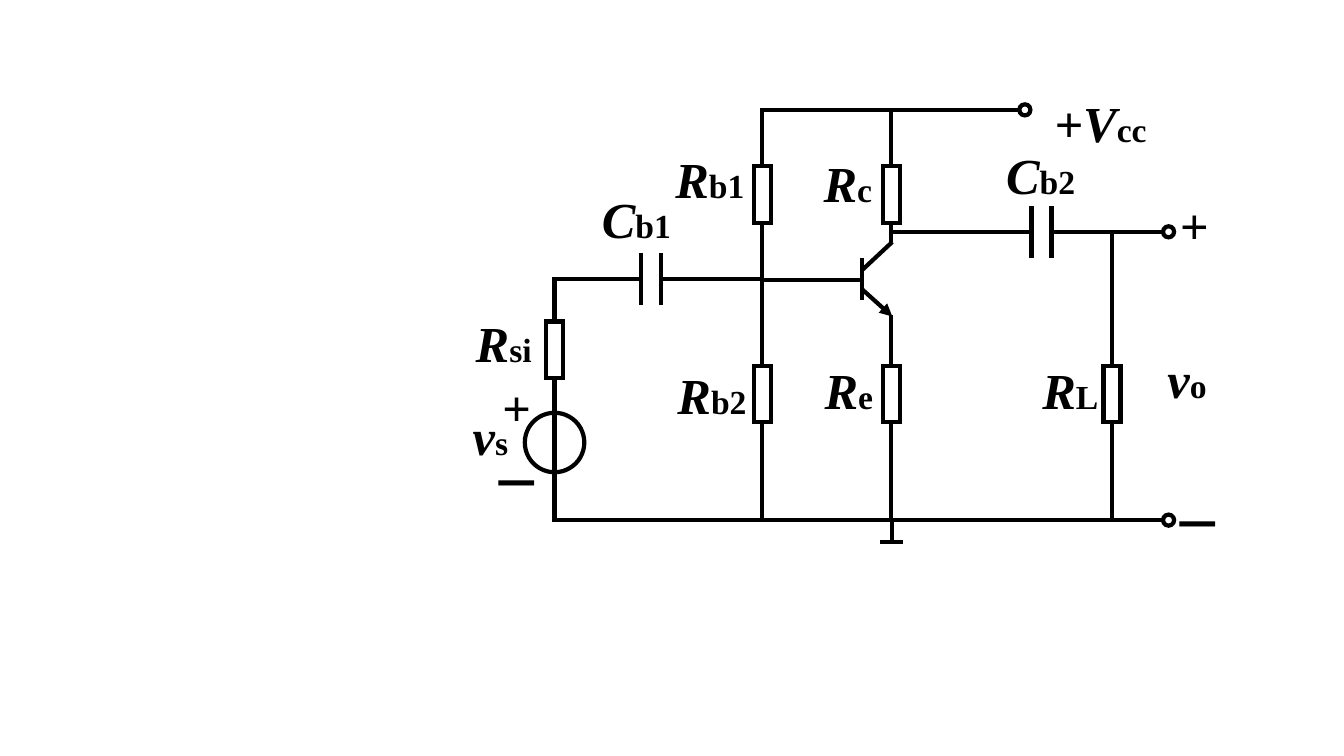
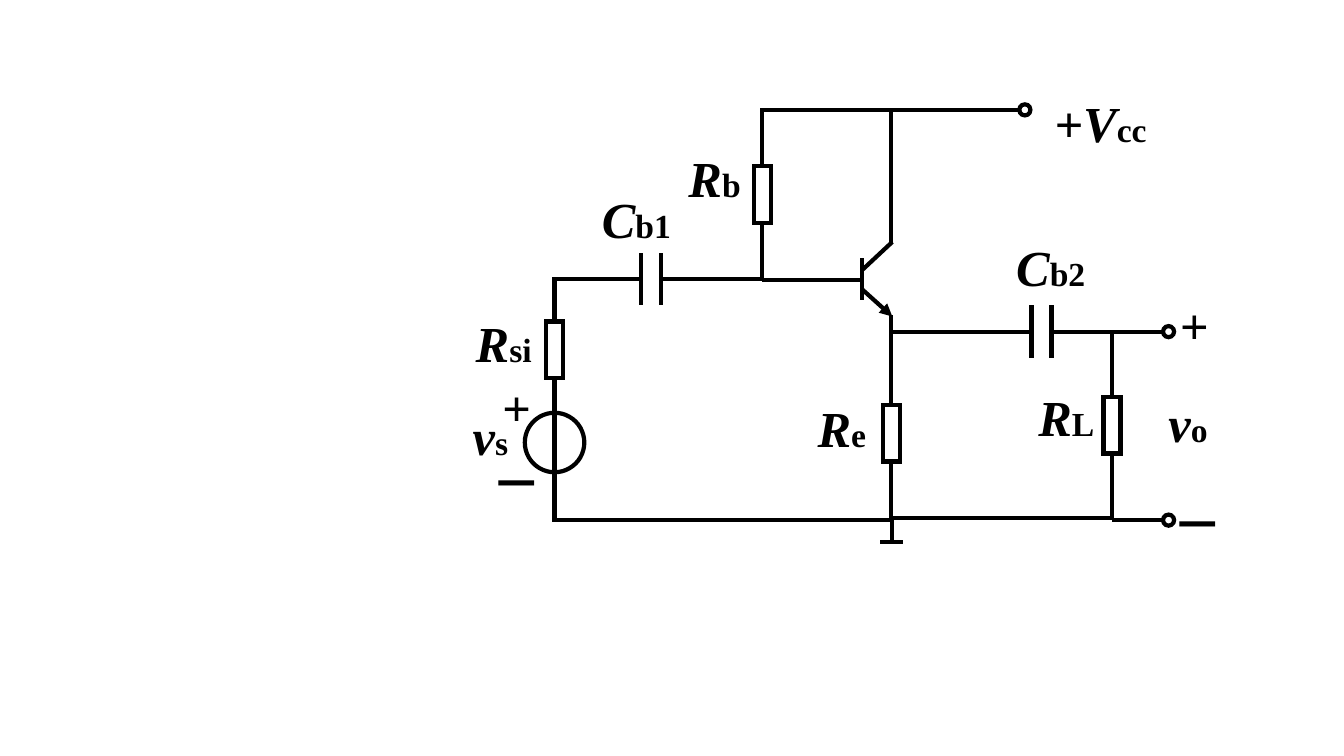
from lxml.etree import SubElement
from pptx import Presentation
from pptx.dml.color import RGBColor
from pptx.enum.shapes import MSO_CONNECTOR, MSO_SHAPE
from pptx.enum.text import MSO_AUTO_SIZE
from pptx.oxml.ns import qn
from pptx.util import Inches, Pt

COLORS = {"ink": "000000", "paper": "FFFFFF"}
FONT = "Times New Roman"
SOURCE_X, BASE_X, GATE_X, EMITTER_X, LOAD_X, TERMINAL_X = 5.5, 7.56, 8.55, 8.84, 11.03, 11.59
SUPPLY_Y, INPUT_Y, GROUND_Y = 1.09, 2.77, 5.16
RESISTOR_HEIGHT = 0.56


def add_span(para, text, size=36, italic=True):
    """Add one bold run to a paragraph."""
    span = para.add_run()
    span.text = text
    font = span.font
    font.name, font.size, font.bold, font.italic = FONT, Pt(size), True, italic
    font.color.rgb = RGBColor.from_string(COLORS["ink"])


class Schematic:
    """Draw circuit symbols on the current slide in one style."""

    def __init__(self, deck):
        self.deck = deck
        self.page = None

    def new_page(self):
        self.page = self.deck.slides.add_slide(self.deck.slide_layouts[6])

    def pen(self, line, color="ink"):
        line.width = Pt(3)
        line.color.rgb = RGBColor.from_string(COLORS[color])
        SubElement(line._get_or_add_ln(), qn("a:miter"), lim="800000")

    def shape(self, kind, left, top, width, height, color="ink"):
        shape = self.page.shapes.add_shape(
            kind, Inches(left), Inches(top), Inches(width), Inches(height))
        shape.shadow.inherit = False
        shape.fill.solid()
        shape.fill.fore_color.rgb = RGBColor.from_string(COLORS["paper"])
        self.pen(shape.line, color)

    def resistor(self, x, top):
        self.shape(MSO_SHAPE.RECTANGLE, x - 0.085, top, 0.17, RESISTOR_HEIGHT)

    def capacitor(self, left, y):
        self.shape(MSO_SHAPE.RECTANGLE, left, y - 0.28, 0.2, 0.57)
        for top in (y - 0.37, y + 0.28):
            self.shape(MSO_SHAPE.RECTANGLE, left - 0.1, top, 0.4, 0.09, "paper")

    def circle(self, x, y, size):
        self.shape(MSO_SHAPE.OVAL, x - size / 2, y - size / 2, size, size)

    def terminal(self, x, y):
        self.circle(x, y, 0.11)

    def wire(self, start, end, elbow=False, arrow=False):
        """Join two points; an elbow runs across first, then up or down."""
        kind = MSO_CONNECTOR.ELBOW if elbow else MSO_CONNECTOR.STRAIGHT
        wire = self.page.shapes.add_connector(
            kind, *(Inches(value) for value in (*start, *end)))
        self.pen(wire.line)
        properties = wire._element.spPr
        if elbow:
            properties.find(qn("a:prstGeom")).set("prst", "bentConnector2")
        if arrow:
            SubElement(wire.line._get_or_add_ln(), qn("a:tailEnd"), type="triangle")
        SubElement(properties, qn("a:effectLst"))

    def label(self, symbol, subscript, left, top, width, italic=True):
        box = self.page.shapes.add_textbox(
            Inches(left), Inches(top), Inches(width), Inches(0.71))
        box.text_frame.word_wrap = False
        box.text_frame.auto_size = MSO_AUTO_SIZE.SHAPE_TO_FIT_TEXT
        para = box.text_frame.paragraphs[0]
        add_span(para, symbol, italic=italic)
        if subscript:
            add_span(para, subscript, size=24, italic=False)


def draw_input_stage(schematic):
    """Draw the source, base bias, transistor, supply and ground."""
    schematic.resistor(SOURCE_X, 3.19)
    schematic.circle(SOURCE_X, 4.39, 0.59)
    schematic.capacitor(6.36, INPUT_Y)
    schematic.resistor(BASE_X, 1.65)
    for start, end in (
        ((6.36, INPUT_Y), (SOURCE_X, 3.19)),
        ((6.55, INPUT_Y), (BASE_X, 2.21)),
        ((10.13, SUPPLY_Y), (BASE_X, 1.65)),
        ((EMITTER_X, GROUND_Y), (SOURCE_X, 3.75)),
    ):
        schematic.wire(start, end, elbow=True)
    for start, end in (
        ((GATE_X, 2.56), (GATE_X, 2.98)),
        ((8.85, 2.4), (GATE_X, 2.68)),
        ((BASE_X, 2.78), (GATE_X, 2.78)),
        ((8.85, GROUND_Y), (8.85, 5.38)),
        ((8.73, 5.38), (8.96, 5.38)),
    ):
        schematic.wire(start, end)
    schematic.wire((GATE_X, 2.87), (8.85, 3.14), arrow=True)
    schematic.terminal(10.165, SUPPLY_Y)
    schematic.label("R", "si", 4.62, 3.05, 0.76)
    schematic.label("v", "s", 4.59, 3.97, 0.56)
    schematic.label("+", "", 4.88, 3.68, 0.49)
    schematic.label("－", "", 4.78, 4.44, 0.71, italic=False)
    schematic.label("C", "b1", 5.87, 1.82, 0.89)
    schematic.label("+V", "cc", 10.36, 0.86, 1.12)


def draw_output_stage(schematic, output_y, emitter_top, load_top, load_ground_y):
    """Draw the emitter resistor, output coupling, load and terminals."""
    schematic.capacitor(10.23, output_y)
    schematic.resistor(EMITTER_X, emitter_top)
    schematic.resistor(LOAD_X, load_top)
    for start, end in (
        ((EMITTER_X, emitter_top), (EMITTER_X, 3.13)),
        ((EMITTER_X, emitter_top + RESISTOR_HEIGHT), (EMITTER_X, GROUND_Y)),
        ((EMITTER_X, output_y - 0.09), (EMITTER_X, output_y + 0.1)),
        ((10.23, output_y), (EMITTER_X, output_y)),
        ((LOAD_X, output_y), (TERMINAL_X, output_y)),
        ((LOAD_X, GROUND_Y), (TERMINAL_X, GROUND_Y)),
    ):
        schematic.wire(start, end)
    schematic.wire((10.42, output_y), (LOAD_X, load_top), elbow=True)
    schematic.wire((8.85, load_ground_y), (LOAD_X, load_top + RESISTOR_HEIGHT), elbow=True)
    for y in (output_y, GROUND_Y):
        schematic.terminal(TERMINAL_X, y)
    schematic.label("+", "", 11.6, output_y - 0.42, 0.49)
    schematic.label("－", "", 11.53, 4.84, 0.71, italic=False)


def draw_common_emitter(schematic):
    """Draw the amplifier with its output at the collector."""
    schematic.new_page()
    draw_input_stage(schematic)
    draw_output_stage(schematic, 2.3, 3.63, 3.63, GROUND_Y)
    schematic.resistor(EMITTER_X, 1.65)
    schematic.resistor(BASE_X, 3.63)
    schematic.wire((BASE_X, 3.63), (BASE_X, INPUT_Y))
    schematic.wire((EMITTER_X, GROUND_Y), (BASE_X, 4.19), elbow=True)
    schematic.wire((EMITTER_X, 1.65), (EMITTER_X, SUPPLY_Y))
    schematic.label("R", "b1", 6.6, 1.42, 0.89)
    schematic.label("R", "b2", 6.62, 3.56, 0.89)
    schematic.label("R", "c", 8.07, 1.46, 0.69)
    schematic.label("R", "e", 8.08, 3.51, 0.69)
    schematic.label("C", "b2", 9.88, 1.38, 0.89)
    schematic.label("R", "L", 10.24, 3.51, 0.76)
    schematic.label("v", "o", 11.48, 3.4, 0.59)


def draw_common_collector(schematic):
    """Draw the amplifier with its output at the emitter."""
    schematic.new_page()
    draw_input_stage(schematic)
    draw_output_stage(schematic, 3.29, 4.02, 3.94, 5.14)
    schematic.wire((EMITTER_X, 2.42), (EMITTER_X, SUPPLY_Y))
    schematic.label("R", "b", 6.73, 1.41, 0.73)
    schematic.label("R", "e", 8.01, 3.89, 0.69)
    schematic.label("C", "b2", 9.98, 2.29, 0.89)
    schematic.label("R", "L", 10.2, 3.78, 0.76)
    schematic.label("v", "o", 11.49, 3.84, 0.59)


def main():
    """Build and save the deck."""
    deck = Presentation()
    deck.slide_width, deck.slide_height = Inches(13.33), Inches(7.5)
    schematic = Schematic(deck)
    draw_common_emitter(schematic)
    draw_common_collector(schematic)
    deck.save("out.pptx")


if __name__ == "__main__":
    main()
